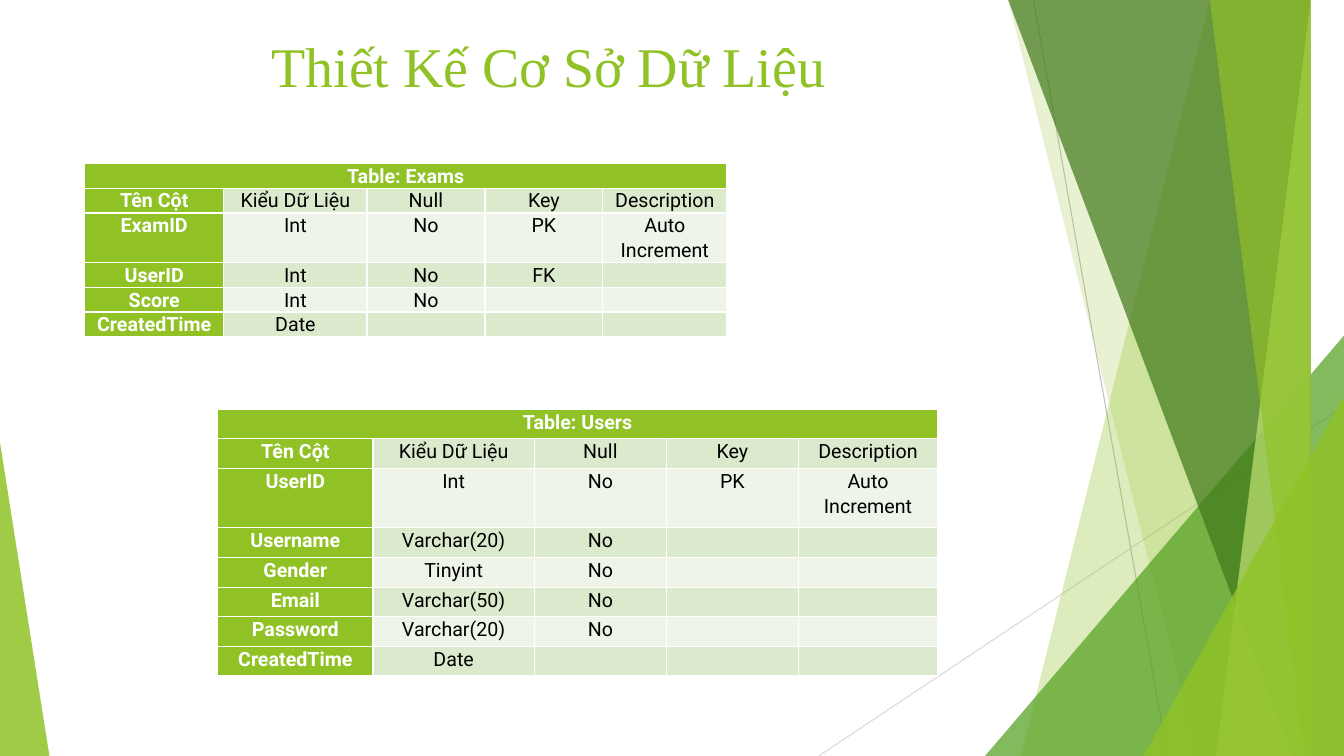
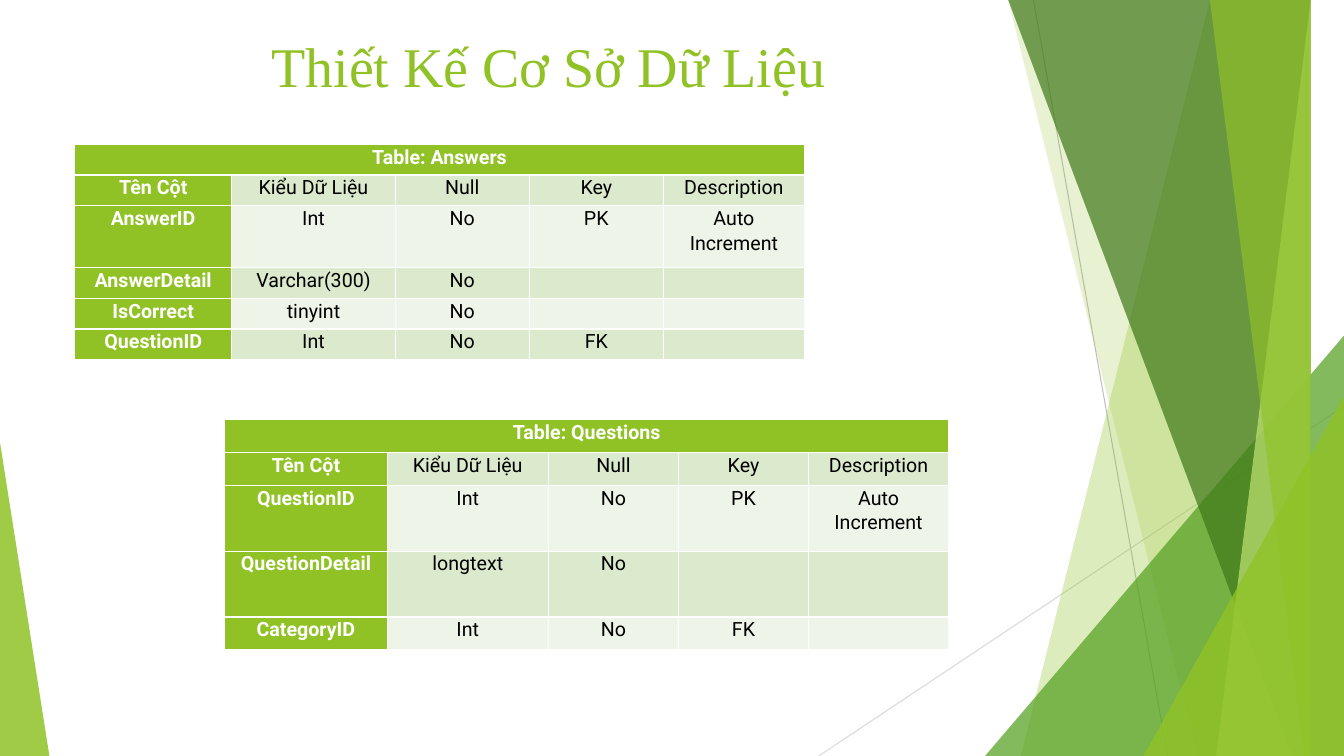
from dataclasses import dataclass

from lxml import etree
from pptx import Presentation
from pptx.dml.color import RGBColor
from pptx.enum.shapes import MSO_CONNECTOR, MSO_SHAPE
from pptx.enum.text import MSO_ANCHOR, MSO_AUTO_SIZE, PP_ALIGN
from pptx.oxml.ns import qn
from pptx.util import Inches, Pt

CENTER = PP_ALIGN.CENTER
TOP = MSO_ANCHOR.TOP
TRIANGLE = MSO_SHAPE.ISOSCELES_TRIANGLE
STRAIGHT = MSO_CONNECTOR.STRAIGHT
TITLE_ONLY = 5


@dataclass(frozen=True)
class Theme:
    width: float = 13.33
    height: float = 7.5
    green: str = "90C226"
    leaf: str = "54A021"
    forest: str = "3F7819"
    lime: str = "C0E474"
    band_dark: str = "DBE9CD"
    band_light: str = "EEF4E8"
    white: str = "FFFFFF"
    black: str = "000000"
    title_font: str = "Times New Roman"
    table_font: str = "Roboto"
    title_size: int = 40
    table_size: int = 14
    line_spacing: float = 1.07
    cell_margin: float = 0.07


THEME = Theme()
TITLE = "Thiết Kế Cơ Sở Dữ Liệu"
TITLE_BOX = (0.74, 0.26, 9.4, 1.07)
HEADINGS = ("Tên Cột", "Kiểu Dữ Liệu", "Null", "Key", "Description")

LINES = [
    ((10.25, 0), (11.58, THEME.height), "BFBFBF"),
    ((THEME.width, 4.03), (8.12, THEME.height), "D9D9D9"),
]
BAND, WEDGE = "band", "wedge"
FACETS = [
    (BAND, (12.28, 10.04), THEME.green, 30),
    (BAND, (10.5, 11.83), THEME.green, 20),
    (WEDGE, (9.77, 3.33, 3.56, 1), THEME.leaf, 72),
    (BAND, (10.21, 12.91), THEME.forest, 70),
    (BAND, (13.03, 11.92), THEME.lime, 70),
    (BAND, (11.96, 13.18), THEME.green, 65),
    (WEDGE, (11.34, 3.93, 1.99, 1), THEME.green, 80),
    (WEDGE, (0, 4.39, 0.49, 0), THEME.green, 85),
]

SLIDES = [
    [
        {
            "name": "Table: Users",
            "at": (2.16, 4.06),
            "height": 2.65,
            "columns": (1.54, 1.6, 1.31, 1.31, 1.38),
            "double_rows": {2},
            "fields": [
                ("UserID", "Int", "No", "PK", "Auto Increment"),
                ("Username", "Varchar(20)", "No", "", ""),
                ("Gender", "Tinyint", "No", "", ""),
                ("Email", "Varchar(50)", "No", "", ""),
                ("Password", "Varchar(20)", "No", "", ""),
                ("CreatedTime", "Date", "", "", ""),
            ],
        },
        {
            "name": "Table: Exams",
            "at": (0.84, 1.62),
            "height": 1.67,
            "columns": (1.38, 1.42, 1.17, 1.17, 1.23),
            "double_rows": {2},
            "fields": [
                ("ExamID", "Int", "No", "PK", "Auto Increment"),
                ("UserID", "Int", "No", "FK", ""),
                ("Score", "Int", "No", "", ""),
                ("CreatedTime", "Date", "", "", ""),
            ],
        },
    ],
    [
        {
            "name": "Table: Questions",
            "at": (2.23, 4.16),
            "height": 2.29,
            "columns": (1.61, 1.6, 1.29, 1.29, 1.39),
            "double_rows": {2, 3},
            "fields": [
                ("QuestionID", "Int", "No", "PK", "Auto Increment"),
                ("QuestionDetail", "longtext", "No", "", ""),
                ("CategoryID", "Int", "No", "FK", ""),
            ],
        },
        {
            "name": "Table: Answers",
            "at": (0.74, 1.43),
            "height": 2.14,
            "columns": (1.56, 1.62, 1.33, 1.33, 1.4),
            "double_rows": {2},
            "fields": [
                ("AnswerID", "Int", "No", "PK", "Auto Increment"),
                ("AnswerDetail", "Varchar(300)", "No", "", ""),
                ("IsCorrect", "tinyint", "No", "", ""),
                ("QuestionID", "Int", "No", "FK", ""),
            ],
        },
    ],
]


def color(value):
    return RGBColor.from_string(value)


def set_font(paragraph, name, size, value, bold=False):
    font = paragraph.font
    font.name, font.size, font.bold = name, Pt(size), bold
    font.color.rgb = color(value)


def fill_translucent(shape, value, opacity):
    shape.shadow.inherit = False
    shape.line.fill.background()
    shape.fill.solid()
    shape.fill.fore_color.rgb = color(value)
    clr = shape.element.spPr.find(qn("a:solidFill"))[0]
    etree.SubElement(clr, qn("a:alpha")).set("val", str(opacity * 1000))


def add_line(shapes, start, end, value):
    points = [Inches(length) for length in start + end]
    line = shapes.add_connector(STRAIGHT, *points)
    line.line.color.rgb = color(value)
    line.line.width = Pt(0.75)
    etree.SubElement(line.element.spPr, qn("a:effectLst"))
    return line


def add_band(shapes, top_left, bottom_left):
    builder = shapes.build_freeform(top_left, 0, scale=Inches(1))
    right, bottom = THEME.width, THEME.height
    builder.add_line_segments([(right, 0), (right, bottom), (bottom_left, bottom)])
    return builder.convert_to_shape()


def add_wedge(shapes, left, top, width, apex):
    box = [Inches(length) for length in (left, top, width, THEME.height - top)]
    wedge = shapes.add_shape(TRIANGLE, *box)
    wedge.adjustments[0] = apex
    return wedge


def move_decoration_to_layout(slide):
    shapes = slide.shapes
    decoration = [add_line(shapes, *line) for line in LINES]
    builders = {BAND: add_band, WEDGE: add_wedge}
    for kind, geometry, value, opacity in FACETS:
        facet = builders[kind](shapes, *geometry)
        fill_translucent(facet, value, opacity)
        decoration.append(facet)
    for shape in decoration:
        slide.slide_layout.shapes.element.append(shape.element)


def place_layout_title(layout):
    title = layout.placeholders[0]
    title.left, title.top, title.width, title.height = map(Inches, TITLE_BOX)
    title.text_frame.vertical_anchor = TOP
    title.text_frame.auto_size = MSO_AUTO_SIZE.NONE


def add_title(slide):
    title = slide.shapes.title
    title.text = TITLE
    paragraph = title.text_frame.paragraphs[0]
    paragraph.alignment = CENTER
    set_font(paragraph, THEME.title_font, THEME.title_size, THEME.green)


def format_cell(cell, text, fill, value, bold):
    cell.text = text
    cell.margin_left = cell.margin_right = Inches(THEME.cell_margin)
    cell.margin_top = cell.margin_bottom = 0
    cell.fill.solid()
    cell.fill.fore_color.rgb = color(fill)
    paragraph = cell.text_frame.paragraphs[0]
    paragraph.alignment = CENTER
    paragraph.line_spacing = THEME.line_spacing
    set_font(paragraph, THEME.table_font, THEME.table_size, value, bold)


def add_schema_table(slide, schema):
    columns = schema["columns"]
    rows = [(schema["name"], "", "", "", ""), HEADINGS, *schema["fields"]]
    unit = schema["height"] / (len(rows) + len(schema["double_rows"]))
    box = (*schema["at"], sum(columns), schema["height"])
    frame = slide.shapes.add_table(len(rows), len(columns), *map(Inches, box))
    table = frame.table
    table.first_col = True
    for column, width in zip(table.columns, columns):
        column.width = Inches(width)
    for index, texts in enumerate(rows):
        units = 2 if index in schema["double_rows"] else 1
        table.rows[index].height = Inches(unit * units)
        band = THEME.band_dark if index % 2 else THEME.band_light
        for position, text in enumerate(texts):
            header = index == 0 or position == 0
            fill, value = (THEME.green, THEME.white) if header else (band, THEME.black)
            format_cell(table.cell(index, position), text, fill, value, header)
    table.cell(0, 0).merge(table.cell(0, len(columns) - 1))


def main():
    presentation = Presentation()
    presentation.slide_width = Inches(THEME.width)
    presentation.slide_height = Inches(THEME.height)
    layout = presentation.slide_layouts[TITLE_ONLY]
    place_layout_title(layout)
    for number, schemas in enumerate(SLIDES):
        slide = presentation.slides.add_slide(layout)
        if number == 0:
            move_decoration_to_layout(slide)
        add_title(slide)
        for schema in schemas:
            add_schema_table(slide, schema)
    presentation.save("out.pptx")


if __name__ == "__main__":
    main()
